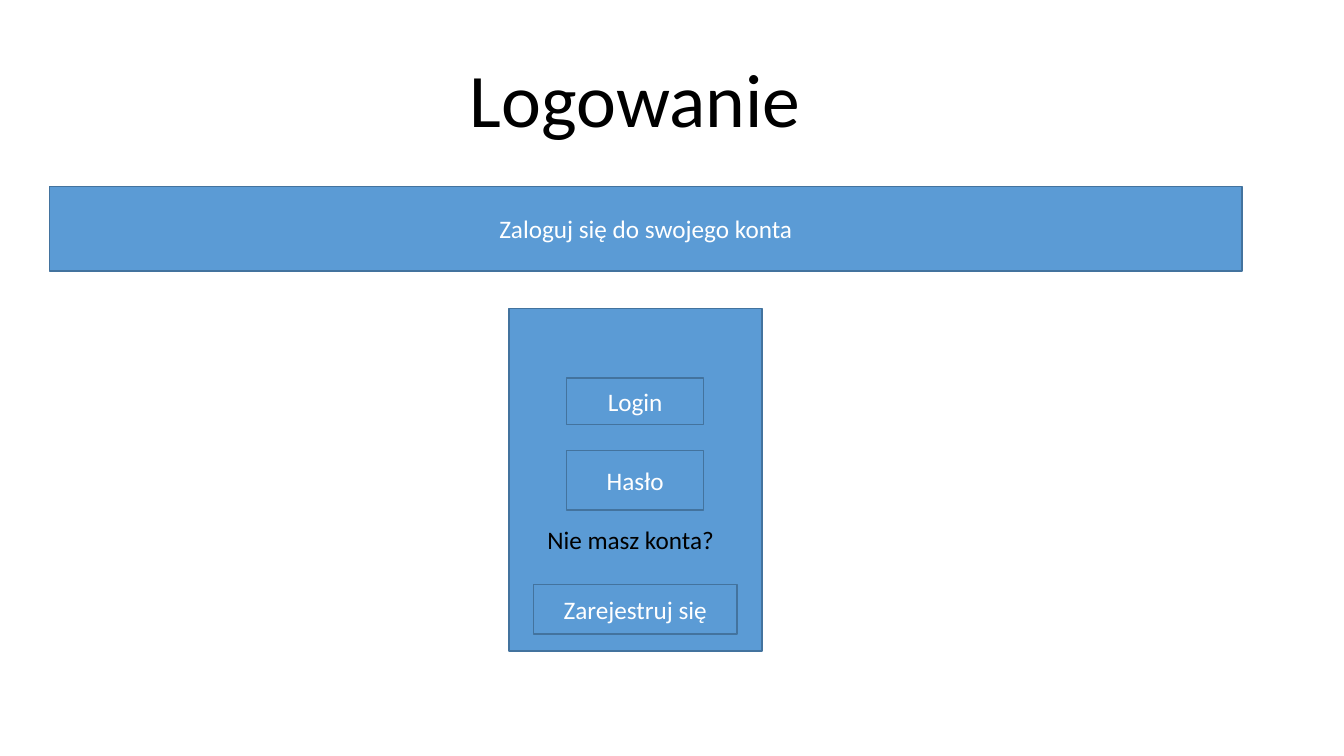
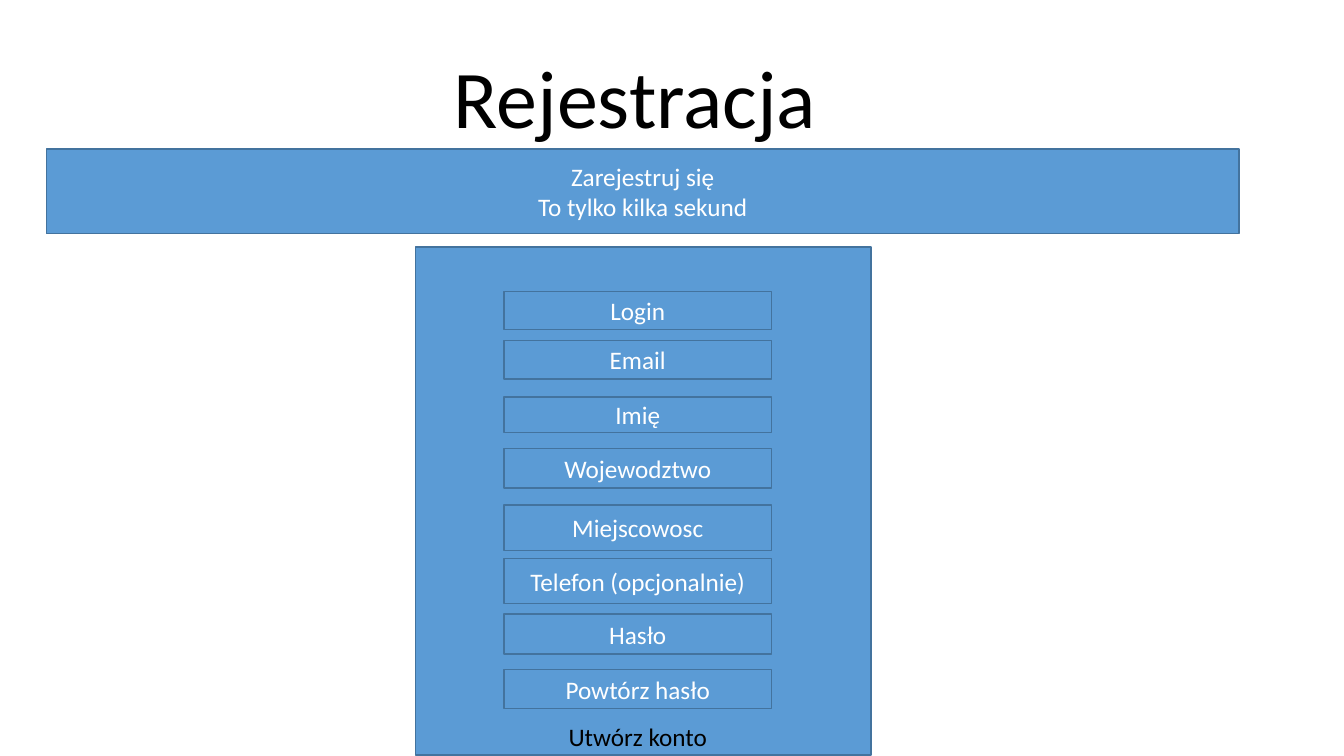
from dataclasses import dataclass

from pptx import Presentation
from pptx.dml.color import RGBColor
from pptx.enum.shapes import MSO_SHAPE
from pptx.enum.text import MSO_ANCHOR, MSO_AUTO_SIZE, PP_ALIGN
from pptx.slide import Slide
from pptx.text.text import TextFrame
from pptx.util import Inches, Pt

# Shared style
BLUE = RGBColor(0x5B, 0x9B, 0xD5)
OUTLINE = RGBColor(0x43, 0x73, 0x9E)
WHITE = RGBColor(0xFF, 0xFF, 0xFF)
BLACK = RGBColor(0x00, 0x00, 0x00)
FONT = "Calibri"
BODY_SIZE = 18
BANNER_WIDTH, BANNER_HEIGHT = 11.83, 0.84
TITLE_ONLY_LAYOUT = 5


@dataclass(frozen=True)
class Box:
    left: float
    top: float
    width: float
    height: float
    text: str = ""


@dataclass(frozen=True)
class FormPage:
    title: str
    title_size: float
    title_spacing: float
    banner: Box
    panel: Box
    fields: list[Box]
    prompt: Box


def write(frame: TextFrame, text: str, size: float, color: RGBColor,
          align: PP_ALIGN, anchor: MSO_ANCHOR, spacing: float = 1.0) -> None:
    frame.text = text
    frame.word_wrap = True
    frame.vertical_anchor = anchor
    for paragraph in frame.paragraphs:
        paragraph.alignment = align
        paragraph.line_spacing = spacing
        paragraph.font.name = FONT
        paragraph.font.size = Pt(size)
        paragraph.font.color.rgb = color


def add_title(slide: Slide, page: FormPage) -> None:
    title = slide.shapes.title
    title.left, title.top = Inches(1.3), Inches(0.51)
    title.width, title.height = Inches(10), Inches(0.97)
    write(title.text_frame, page.title, page.title_size, BLACK,
          PP_ALIGN.CENTER, MSO_ANCHOR.BOTTOM, page.title_spacing)
    title.text_frame.auto_size = MSO_AUTO_SIZE.NONE


def add_box(slide: Slide, box: Box) -> None:
    rectangle = slide.shapes.add_shape(
        MSO_SHAPE.RECTANGLE, Inches(box.left), Inches(box.top),
        Inches(box.width), Inches(box.height))
    rectangle.shadow.inherit = False
    rectangle.fill.solid()
    rectangle.fill.fore_color.rgb = BLUE
    rectangle.line.color.rgb = OUTLINE
    rectangle.line.width = Pt(1)
    if box.text:
        write(rectangle.text_frame, box.text, BODY_SIZE, WHITE,
              PP_ALIGN.CENTER, MSO_ANCHOR.MIDDLE)


def add_prompt(slide: Slide, prompt: Box) -> None:
    caption = slide.shapes.add_textbox(
        Inches(prompt.left), Inches(prompt.top),
        Inches(prompt.width), Inches(prompt.height))
    write(caption.text_frame, prompt.text, BODY_SIZE, BLACK,
          PP_ALIGN.LEFT, MSO_ANCHOR.TOP)
    caption.text_frame.auto_size = MSO_AUTO_SIZE.SHAPE_TO_FIT_TEXT


# Login form
login = FormPage(
    title="Logowanie", title_size=54, title_spacing=0.9,
    banner=Box(0.49, 1.85, BANNER_WIDTH, BANNER_HEIGHT,
               "Zaloguj się do swojego konta"),
    panel=Box(5.05, 3.06, 2.51, 3.4),
    fields=[
        Box(5.62, 3.75, 1.36, 0.46, "Login"),
        Box(5.62, 4.47, 1.36, 0.59, "Hasło"),
        Box(5.29, 5.8, 2.02, 0.49, "Zarejestruj się"),
    ],
    prompt=Box(5.33, 5.15, 2.24, 0.4, "Nie masz konta?"),
)

# Registration form: one column of fields, each with its top and height
REGISTRATION_FIELDS = [
    ("Login", 2.89, 0.38),
    ("Email", 3.38, 0.38),
    ("Imię", 3.94, 0.35),
    ("Wojewodztwo", 4.45, 0.39),
    ("Miejscowosc", 5.01, 0.45),
    ("Telefon (opcjonalnie)", 5.54, 0.45),
    ("Hasło", 6.09, 0.4),
    ("Powtórz hasło", 6.64, 0.39),
]
registration = FormPage(
    title="Rejestracja", title_size=58.5, title_spacing=0.8,
    banner=Box(0.46, 1.48, BANNER_WIDTH, BANNER_HEIGHT,
               "Zarejestruj się\nTo tylko kilka sekund"),
    panel=Box(4.12, 2.45, 4.52, 5.04),
    fields=[Box(5, top, 2.65, height, name)
            for name, top, height in REGISTRATION_FIELDS],
    prompt=Box(5.54, 7.11, 2.65, 0.39, "Utwórz konto"),
)

# Build the slides
deck = Presentation()
deck.slide_width, deck.slide_height = Inches(13.33), Inches(7.5)
for page in (login, registration):
    slide = deck.slides.add_slide(deck.slide_layouts[TITLE_ONLY_LAYOUT])
    add_title(slide, page)
    for box in (page.banner, page.panel, *page.fields):
        add_box(slide, box)
    add_prompt(slide, page.prompt)

deck.save("out.pptx")
